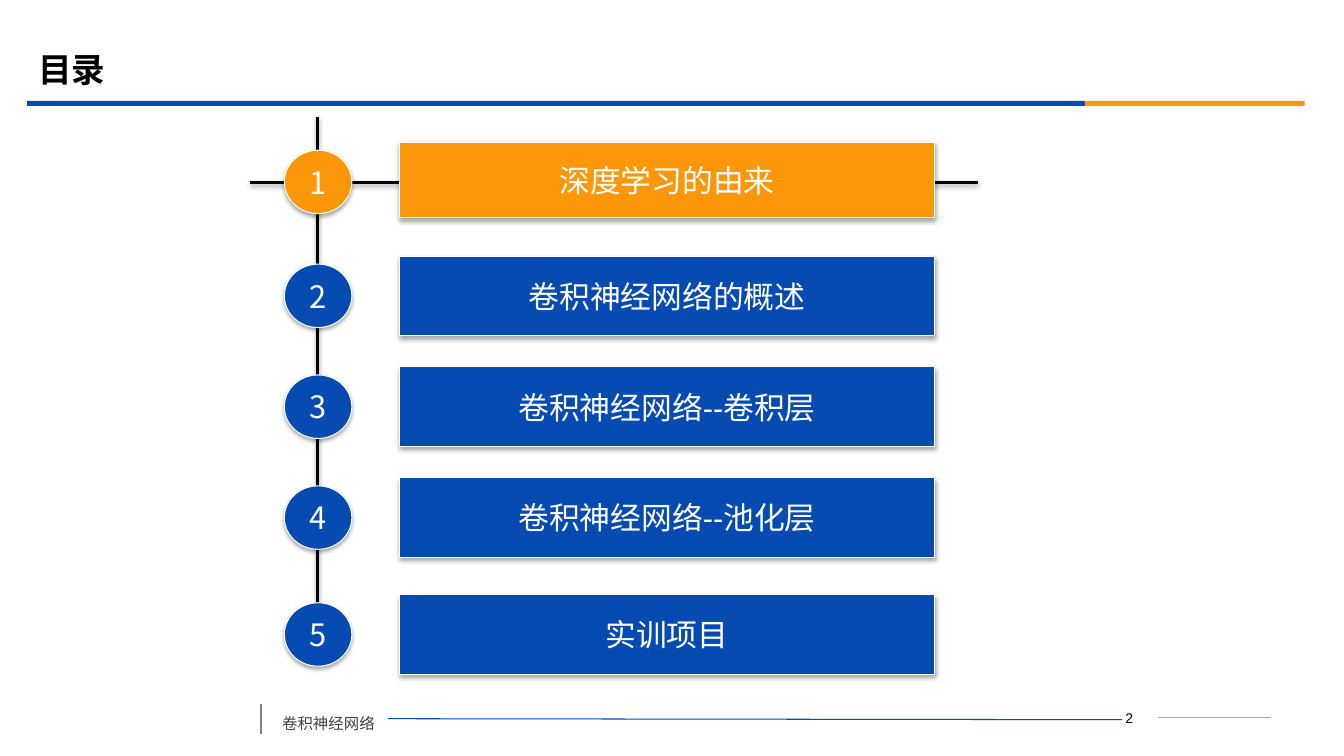
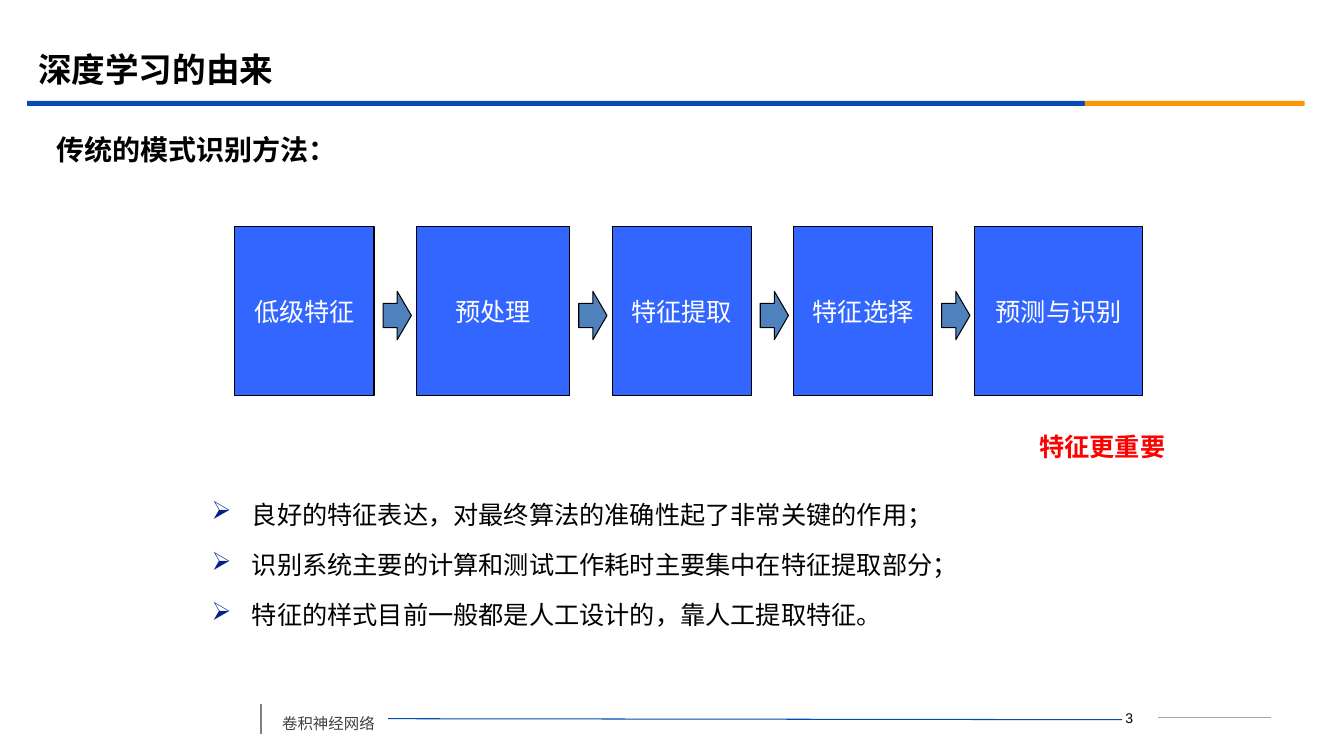
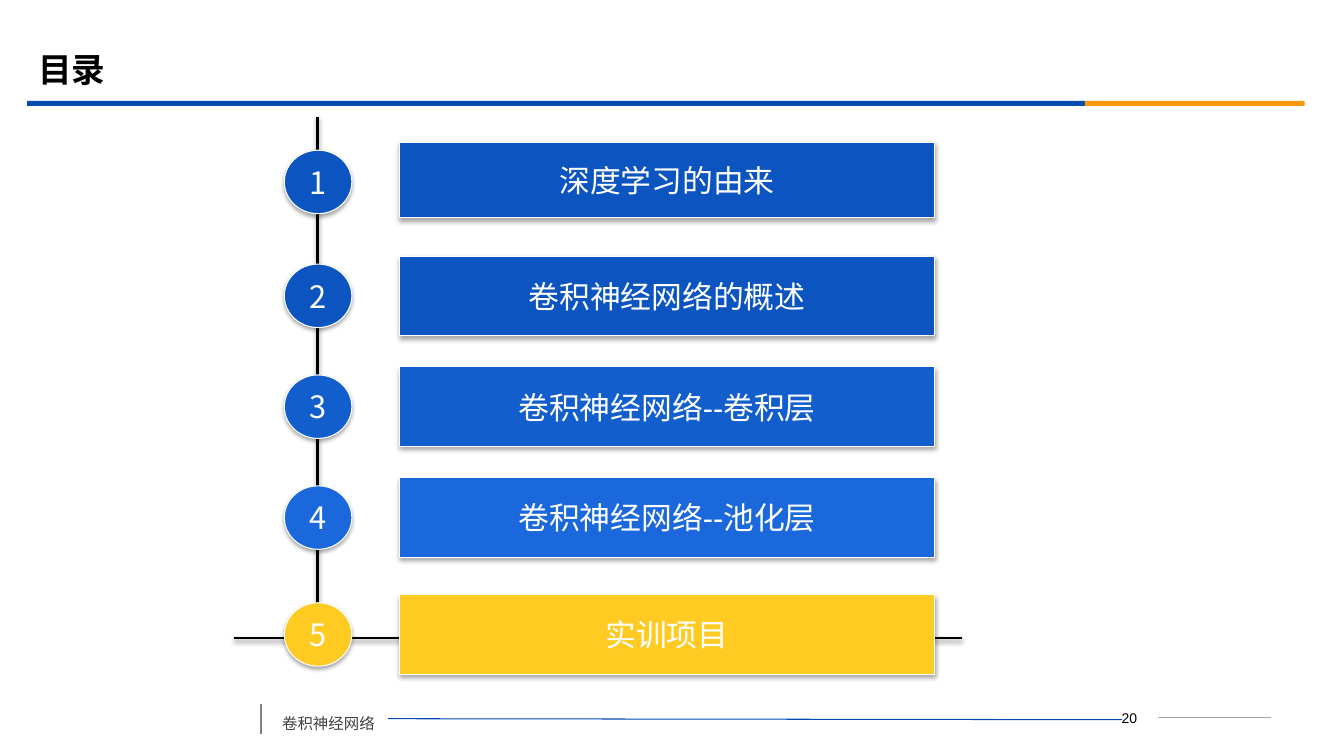
from lxml import etree
from pptx import Presentation
from pptx.dml.color import RGBColor
from pptx.enum.shapes import MSO_CONNECTOR, MSO_SHAPE
from pptx.enum.text import MSO_ANCHOR, PP_ALIGN
from pptx.oxml.ns import qn
from pptx.util import Pt

PX = 9144
RECT, OVAL = MSO_SHAPE.RECTANGLE, MSO_SHAPE.OVAL
BAR, ARROW = MSO_SHAPE.ACTION_BUTTON_CUSTOM, MSO_SHAPE.RIGHT_ARROW
STRAIGHT = MSO_CONNECTOR.STRAIGHT
TOP, MID = MSO_ANCHOR.TOP, MSO_ANCHOR.MIDDLE
LEFT, CENTER = PP_ALIGN.LEFT, PP_ALIGN.CENTER

BLACK = RGBColor(0x00, 0x00, 0x00)
WHITE = RGBColor(0xFF, 0xFF, 0xFF)
BLUE = RGBColor(0x06, 0x4B, 0xB2)
DEEP = RGBColor(0x0C, 0x54, 0xBF)
MEDIUM = RGBColor(0x13, 0x5E, 0xCD)
LIGHT = RGBColor(0x1A, 0x68, 0xDB)
ORANGE = RGBColor(0xFB, 0x97, 0x08)
YELLOW = RGBColor(0xFF, 0xCB, 0x23)
STEP = RGBColor(0x33, 0x66, 0xFF)
STEEL = RGBColor(0x4F, 0x81, 0xBD)
NAVY = RGBColor(0x03, 0x20, 0x89)
RED = RGBColor(0xFF, 0x00, 0x00)
DARK = RGBColor(0x40, 0x40, 0x40)
GRAY = RGBColor(0x80, 0x80, 0x80)
PALE = RGBColor(0xA6, 0xA6, 0xA6)

NOTO = "Noto Sans CJK SC"
TOPICS = [
    ("深度学习的由来", 141, 75, NOTO),
    ("卷积神经网络的概述", 254, 79, NOTO),
    ("卷积神经网络--卷积层", 364, 79, "Arial"),
    ("卷积神经网络--池化层", 474, 79, "Arial"),
    ("实训项目", 590, 79, NOTO),
]
STEPS = [("低级特征", 138), ("预处理", 152), ("特征提取", 138),
         ("特征选择", 138), ("预测与识别", 166)]
POINTS = [
    "良好的特征表达，对最终算法的准确性起了非常关键的作用；",
    "识别系统主要的计算和测试工作耗时主要集中在特征提取部分；",
    "特征的样式目前一般都是人工设计的，靠人工提取特征。",
]


class Deck:
    """Holds the shared style and the current slide."""

    def __init__(self):
        self.prs = Presentation()
        self.prs.slide_width = 1333 * PX
        self.prs.slide_height = 750 * PX

    def page(self, title, number):
        self.slide = self.prs.slides.add_slide(self.prs.slide_layouts[6])
        self.shape(RECT, (27, 100, 1049, 5), BLUE)
        self.shape(RECT, (1076, 100, 218, 5), ORANGE)
        self.line((259, 698, 259, 728), GRAY, 1.25)
        self.line((385, 713, 1113, 714), BLUE, 0.75)
        self.line((1149, 712, 1261, 712), PALE, 0.75)
        self.text((270, 694, 115, 38), ["卷积神经网络"], 11, DARK, space=1.5)
        self.text((1089, 699, 62, 25), [str(number)], 10, BLACK, "Arial",
                  align=CENTER)
        self.text((28, 39, 1200, 58), [title], 24, BLACK, "Montserrat",
                  bold=True, anchor=MID)

    def shade(self, item, alpha, dist):
        props = item._element.spPr
        for old in props.findall(qn("a:effectLst")):
            props.remove(old)
        effect = etree.SubElement(props, qn("a:effectLst"))
        if alpha:
            shadow = etree.SubElement(
                effect, qn("a:outerShdw"), blurRad="40000", dist=str(dist),
                dir="5400000", rotWithShape="0")
            color = etree.SubElement(shadow, qn("a:srgbClr"), val=str(BLACK))
            etree.SubElement(color, qn("a:alpha"), val=str(alpha * 1000))

    def line(self, ends, color, width, alpha=0):
        wire = self.slide.shapes.add_connector(
            STRAIGHT, *[v * PX for v in ends])
        wire.line.color.rgb = color
        wire.line.width = Pt(width)
        self.shade(wire, alpha, 20000)

    def shape(self, kind, box, fill, edge=None, alpha=0):
        item = self.slide.shapes.add_shape(kind, *[v * PX for v in box])
        item.shadow.inherit = False
        item.fill.solid()
        item.fill.fore_color.rgb = fill
        if edge is None:
            item.line.fill.background()
        else:
            item.line.color.rgb = edge
            item.line.width = Pt(0.75)
        self.shade(item, alpha, 23000)
        return item

    def text(self, box, lines, size, color, font=NOTO, **style):
        item = self.slide.shapes.add_textbox(*[v * PX for v in box])
        self.label(item, lines, size, color, font, **style)

    def label(self, item, lines, size, color, font=NOTO, bold=False,
              align=LEFT, anchor=TOP, wrap=True, space=None, mark=None):
        frame = item.text_frame
        for key, val in {"word_wrap": wrap, "vertical_anchor": anchor}.items():
            setattr(frame, key, val)
        for i, words in enumerate(lines):
            para = frame.add_paragraph() if i else frame.paragraphs[0]
            if mark:
                self.bullet(para, mark)
            for key, val in {"alignment": align, "line_spacing": space}.items():
                setattr(para, key, val)
            run = para.add_run()
            run.text = words
            run.font.color.rgb = color
            form = {"size": Pt(size), "bold": bold, "name": font}
            for key, val in form.items():
                setattr(run.font, key, val)
            etree.SubElement(run._r.get_or_add_rPr(), qn("a:ea"), typeface=NOTO)

    def bullet(self, para, mark):
        props = para._p.get_or_add_pPr()
        for key, val in {"marL": 40 * PX, "indent": -40 * PX}.items():
            props.set(key, str(val))
        color = etree.SubElement(props, qn("a:buClr"))
        etree.SubElement(color, qn("a:srgbClr"), val=str(NAVY))
        etree.SubElement(props, qn("a:buChar"), char=mark)

    def agenda(self, number, fills, cross):
        self.page("目录", number)
        for ends in ((315, 116, 315, 598), cross):
            self.line(ends, BLACK, 2, 38)
        for i, (topic, top, high, font) in enumerate(TOPICS):
            bar = self.shape(BAR, (396, top, 531, high), fills[i], WHITE, 35)
            dot = self.shape(OVAL, (282, top + 8, 67, 63), fills[i], WHITE, 35)
            for item, words, face in ((bar, topic, font),
                                      (dot, str(i + 1), NOTO)):
                self.label(item, [words], 22, WHITE, face, align=CENTER,
                           anchor=MID, wrap=False)

    def flow(self, left, top, high, gap):
        for i, (words, wide) in enumerate(STEPS):
            if i:
                self.shape(ARROW, (left - gap + 9, top + 64, 28, 48),
                           STEEL, BLACK)
            step = self.shape(RECT, (left, top, wide, high), STEP, BLACK)
            self.label(step, [words], 18, WHITE, "Arial Narrow",
                       align=CENTER, anchor=MID)
            left += wide + gap


def main():
    deck = Deck()
    deck.agenda(2, [ORANGE] + [BLUE] * 4, (248, 181, 970, 181))

    deck.page("深度学习的由来", 3)
    deck.text((46, 125, 1215, 47), ["传统的模式识别方法："], 20, BLACK,
              "Times New Roman", bold=True, anchor=MID)
    deck.flow(233, 225, 167, 42)
    deck.text((200, 470, 984, 172), POINTS, 18, BLACK, "Times New Roman",
              space=Pt(36), mark="➢")
    deck.text((1021, 423, 149, 40), ["特征更重要"], 18, RED, bold=True)

    deck.agenda(20, [DEEP, DEEP, MEDIUM, LIGHT, YELLOW], (232, 633, 954, 633))
    deck.prs.save("out.pptx")


if __name__ == "__main__":
    main()
